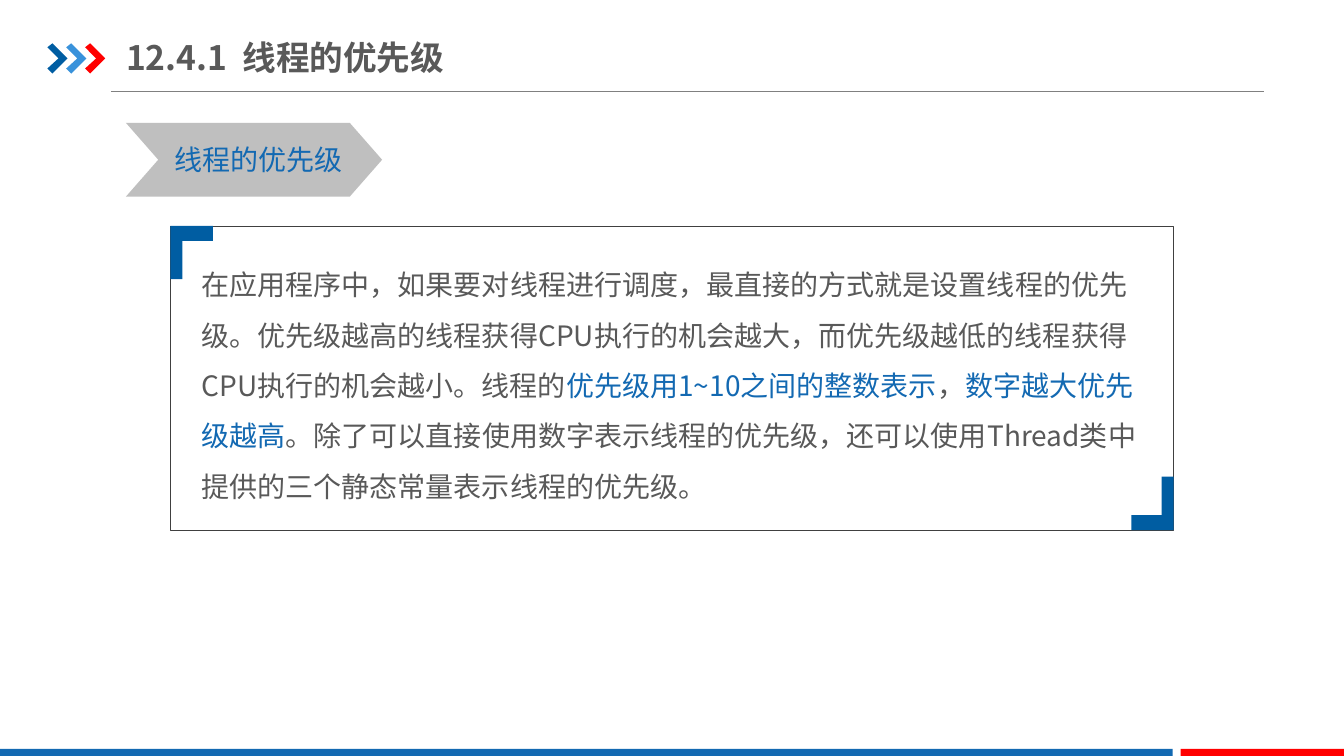
from lxml import etree
from pptx import Presentation
from pptx.dml.color import RGBColor
from pptx.enum.shapes import MSO_CONNECTOR, MSO_SHAPE as SHAPE
from pptx.enum.text import MSO_ANCHOR as ANCHOR
from pptx.oxml.ns import qn
from pptx.util import Inches, Pt

# Content
FONT = "Noto Sans CJK SC"
GREY, BLUE, NAVY, RED = "595959", "1369B2", "005DA2", "FF0000"
TITLE = [("12.4.1  线程的优先级", GREY)]
TOPIC = [("线程的优先级", BLUE)]
BODY = [
    ("在应用程序中，如果要对线程进行调度，最直接的方式就是设置线程的优先级。"
     "优先级越高的线程获得CPU执行的机会越大，而优先级越低的线程获得CPU执行的机会越小。线程的", GREY),
    ("优先级用1~10之间的整数表示", BLUE),
    ("，", GREY),
    ("数字越大优先级越高", BLUE),
    ("。除了可以直接使用数字表示线程的优先级，"
     "还可以使用Thread类中提供的三个静态常量表示线程的优先级。", GREY),
]

# Layout, in inches
ARROWS = [NAVY, "3992DB", RED]
ARROW_LEFT, ARROW_TOP, ARROW_STEP = 0.47, 0.43, 0.187
ARROW = [(0, 0.04), (0.05, 0), (0.2, 0.15), (0.05, 0.3), (0, 0.25), (0.11, 0.15)]
FOOTER = [(0, 11.63, BLUE), (11.71, 1.63, RED)]
FRAME = (1.69, 2.24, 9.95, 3.02)
CORNER = [(0, 0), (0.42, 0), (0.42, 0.15), (0.12, 0.15), (0.12, 0.53), (0, 0.53)]

prs = Presentation()
prs.slide_width, prs.slide_height = Inches(13.33), Inches(7.5)
s = prs.slides.add_slide(prs.slide_layouts[6])


def rgb(value):
    return RGBColor.from_string(value)


def fill_only(sp, color):
    sp.shadow.inherit = False
    sp.fill.solid()
    sp.fill.fore_color.rgb = rgb(color)
    sp.line.fill.background()


def add_preset(kind, box, color):
    sp = s.shapes.add_shape(kind, *map(Inches, box))
    fill_only(sp, color)
    return sp


def add_outline(x, y, points, color, sign=1):
    """Closed outline from (x, y); sign -1 turns it by half a circle."""
    pts = [(Inches(x + sign * dx), Inches(y + sign * dy)) for dx, dy in points]
    builder = s.shapes.build_freeform(*pts[0], scale=1.0)
    builder.add_line_segments(pts[1:], close=True)
    fill_only(builder.convert_to_shape(), color)


def add_text(box, runs, size, bold=False, wrap=True, spacing=None):
    tf = s.shapes.add_textbox(*map(Inches, box)).text_frame
    tf.word_wrap = wrap
    p = tf.paragraphs[0]
    if spacing:
        p.line_spacing = spacing
    for text, color in runs:
        r = p.add_run()
        r.text = text
        r.font.size, r.font.bold, r.font.name = Pt(size), bold, FONT
        r.font.color.rgb = rgb(color)
        ea = etree.SubElement(r.font._element, qn("a:ea"))
        ea.set("typeface", FONT)
    return tf


# Header: rule, three arrows, title
rule = s.shapes.add_connector(MSO_CONNECTOR.STRAIGHT, Inches(1.1), Inches(0.91),
                              Inches(12.54), Inches(0.91))
rule.line.color.rgb = rgb("808080")
rule.line.width = Pt(0.75)
etree.SubElement(rule._element.spPr, qn("a:effectLst"))
for i, color in enumerate(ARROWS):
    add_outline(ARROW_LEFT + i * ARROW_STEP, ARROW_TOP, ARROW, color)
title = add_text((1.25, 0.29, 5.71, 0.55), TITLE, 24, bold=True)
title.vertical_anchor = ANCHOR.MIDDLE
title.margin_left = title.margin_right = 0
title.margin_top = title.margin_bottom = Inches(0.07)

# Footer bars
for left, width, color in FOOTER:
    add_preset(SHAPE.RECTANGLE, (left, 7.43, width, 0.09), color)

# Topic tag
tag = add_preset(SHAPE.CHEVRON, (1.25, 1.22, 2.54, 0.73), "BFBFBF")
tag.adjustments[0] = 0.438
add_text((1.63, 1.36, 1.87, 0.44), TOPIC, 20, wrap=False)

# Framed explanation
add_text((1.9, 2.44, 9.52, 2.62), BODY, 20, spacing=1.5)
frame = s.shapes.add_shape(SHAPE.RECTANGLE, *map(Inches, FRAME))
frame.shadow.inherit = False
frame.fill.background()
frame.line.color.rgb = rgb("404040")
frame.line.width = Pt(0.25)
x, y, w, h = FRAME
add_outline(x, y, CORNER, NAVY)
add_outline(x + w, y + h, CORNER, NAVY, sign=-1)

prs.save("out.pptx")
